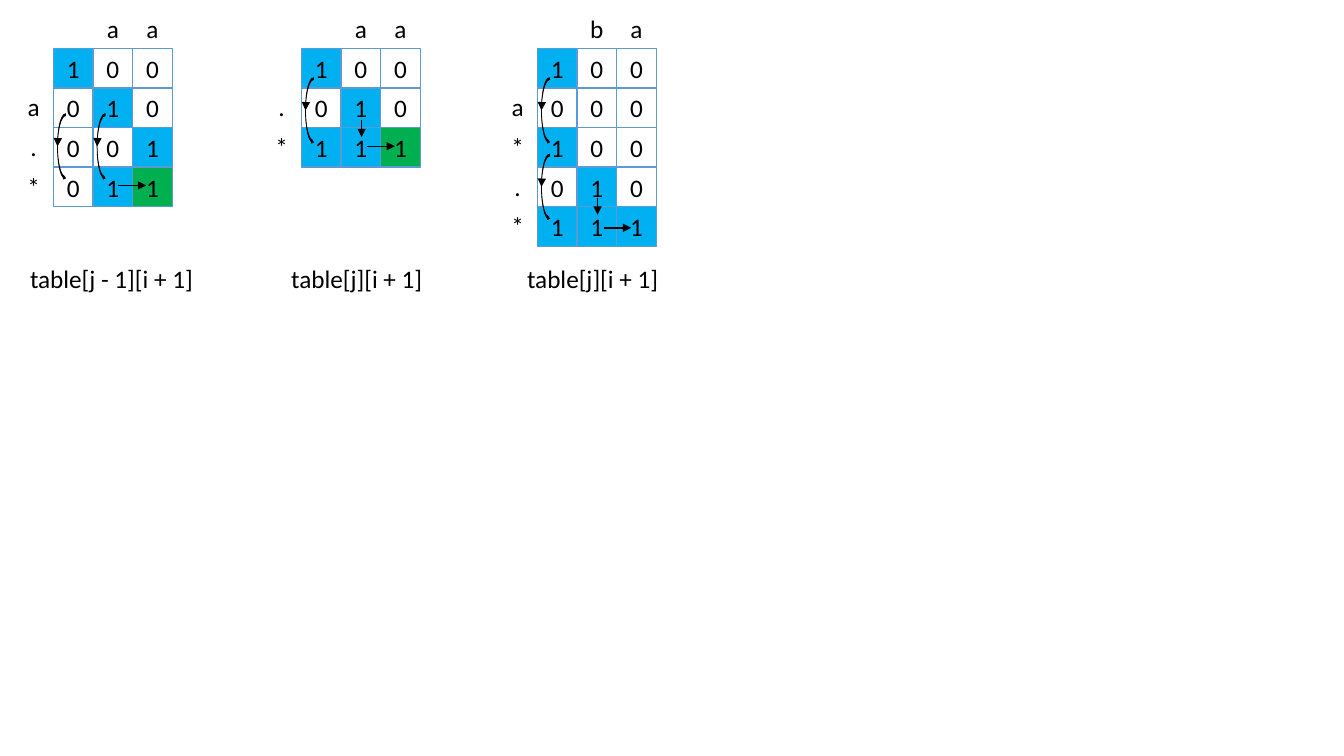
from lxml import etree
from pptx import Presentation
from pptx import util as u
from pptx.dml import color
from pptx.enum import shapes, text
from pptx.oxml import ns

COLOURS = {"0": "FFFFFF", "1": "00B0F0", "match": "00B050", "border": "5B9BD5", "ink": "000000"}
FONT = {"name": "Calibri", "size": u.Pt(18)}
CELL = 0.393
TOP = 0.48
LABEL_LIFT = 0.01
CURVE_INSET, CURVE_WIDTH, CURVE_HEIGHT = 0.04, 0.08, 0.66

TABLES = [
    {"left": 0.53, "word": "aa", "pattern": "a.*", "rows": ["100", "010", "001", "011"],
     "match": True, "caption": "table[j - 1][i + 1]", "width": 1.84,
     "curves": [(0, 1.65), (1, 1.65)],
     "arrows": [((1.63, 3.46), (2.34, 3.46))]},
    {"left": 2.99, "word": "aa", "pattern": ".*", "rows": ["100", "010", "111"],
     "match": True, "caption": "table[j][i + 1]", "width": 1.58,
     "curves": [(0, 0.74)],
     "arrows": [((1.52, 1.81), (1.52, 2.24)), ((1.65, 2.47), (2.36, 2.47))]},
    {"left": 5.33, "word": "ba", "pattern": "a*.*", "rows": ["100", "000", "100", "010", "111"],
     "match": False, "caption": "table[j][i + 1]", "width": 1.58,
     "curves": [(0, 0.74), (0, 2.67)],
     "arrows": [((1.52, 3.77), (1.52, 4.2)), ((1.67, 4.53), (2.37, 4.53))]},
]

deck = Presentation()
deck.slide_width, deck.slide_height = u.Inches(13.33), u.Inches(7.5)
page = deck.slides.add_slide(deck.slide_layouts[6])


def rgb(name):
    return color.RGBColor.from_string(COLOURS[name])


def write(box, words, align):
    para = box.text_frame.paragraphs[0]
    para.alignment = align
    span = para.add_run()
    span.text = words
    for key, value in FONT.items():
        setattr(span.font, key, value)
    span.font.color.rgb = rgb("ink")


def outline(item, name, points):
    item.line.color.rgb = rgb(name)
    item.line.width = u.Pt(points)


def add_head(item):
    etree.SubElement(item.line._get_or_add_ln(), ns.qn("a:tailEnd"), type="triangle")


def add_shape(kind, left, top, width, height, fill):
    shape = page.shapes.add_shape(kind, *map(u.Inches, (left, top, width, height)))
    shape.shadow.inherit = False
    shape.fill.solid()
    shape.fill.fore_color.rgb = rgb(fill)
    return shape


def add_cell(left, top, words, fill="0", border=True):
    cell = add_shape(shapes.MSO_SHAPE.RECTANGLE, left, top, CELL, CELL, fill)
    if border:
        outline(cell, "border", 1)
    else:
        cell.line.fill.background()
    cell.text_frame.vertical_anchor = text.MSO_ANCHOR.MIDDLE
    write(cell, words, text.PP_ALIGN.CENTER)


def add_curve(left, top):
    curve = add_shape(shapes.MSO_SHAPE.CURVED_RIGHT_ARROW, left + CURVE_INSET, top,
                      CURVE_WIDTH, CURVE_HEIGHT, "ink")
    outline(curve, "ink", 0.5)
    add_head(curve)


def add_arrow(start, end):
    arrow = page.shapes.add_connector(shapes.MSO_CONNECTOR.STRAIGHT, *map(u.Inches, start + end))
    outline(arrow, "ink", 1)
    add_head(arrow)
    etree.SubElement(arrow._element.spPr, ns.qn("a:effectLst"))


def add_caption(centre, words, width):
    box = page.shapes.add_textbox(*map(u.Inches, (centre - width / 2, 2.56, width, 0.4)))
    box.text_frame.word_wrap = False
    box.text_frame.auto_size = text.MSO_AUTO_SIZE.SHAPE_TO_FIT_TEXT
    write(box, words, text.PP_ALIGN.LEFT)


for table in TABLES:
    def at(column, row):
        return table["left"] + column * CELL, TOP + row * CELL

    rows = table["rows"]
    last = (len(rows) - 1, len(rows[0]) - 1)
    for column, letter in enumerate(table["word"], 1):
        add_cell(*at(column, -1), letter, border=False)
    for row, letter in enumerate(table["pattern"], 1):
        left, top = at(-1, row)
        add_cell(left, top - LABEL_LIFT, letter, border=False)
    for row, digits in enumerate(rows):
        for column, digit in enumerate(digits):
            matched = table["match"] and (row, column) == last
            add_cell(*at(column, row), digit, "match" if matched else digit)
    for place in table["curves"]:
        add_curve(*at(*place))
    for start, end in table["arrows"]:
        add_arrow(at(*start), at(*end))
    add_caption(at(len(rows[0]) / 2, 0)[0], table["caption"], table["width"])

deck.save("out.pptx")
